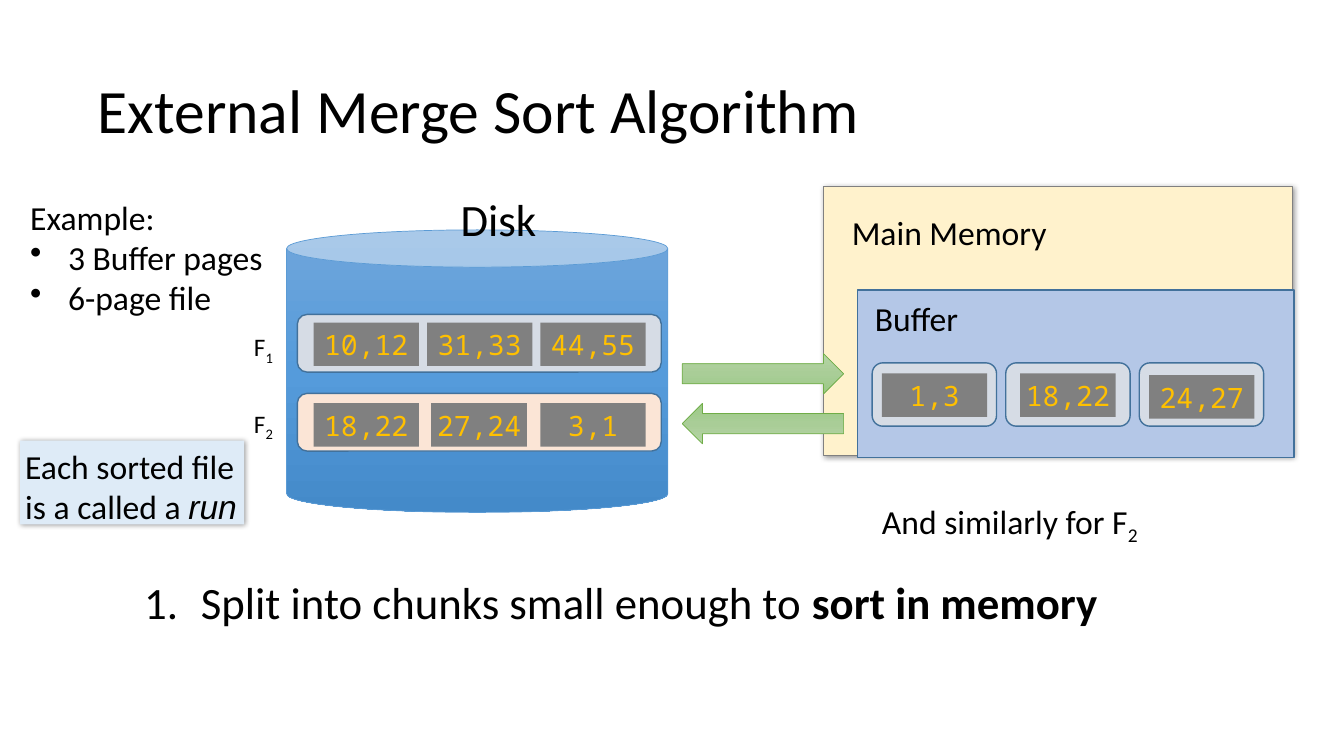
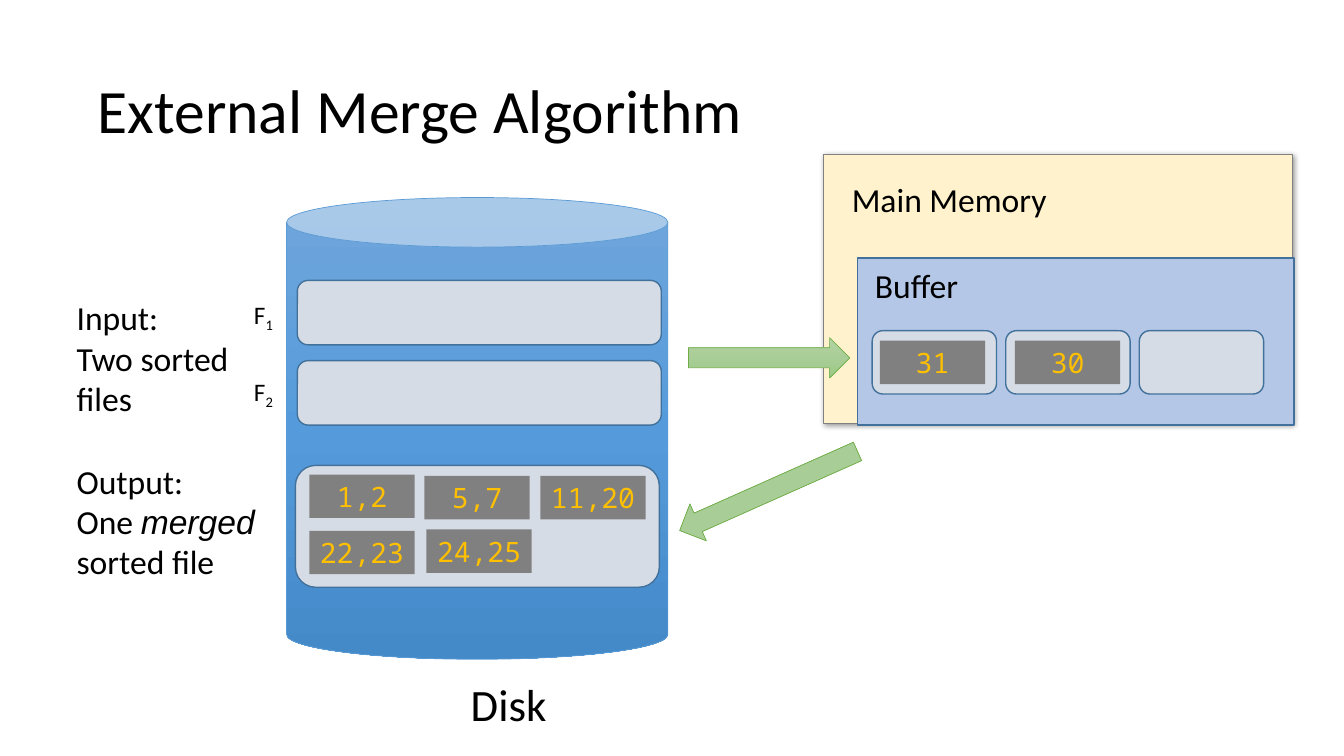
from copy import deepcopy
from pptx import Presentation
from pptx.dml.color import RGBColor
from pptx.enum.shapes import MSO_SHAPE
from pptx.enum.text import MSO_ANCHOR, PP_ALIGN
from pptx.oxml import parse_xml
from pptx.oxml.ns import nsdecls, qn
from pptx.util import Pt

BLACK = RGBColor(0x00, 0x00, 0x00)
GOLD = RGBColor(0xFF, 0xC0, 0x00)
GRAY = RGBColor(0x80, 0x80, 0x80)
CREAM = RGBColor(0xFF, 0xF2, 0xCC)
PERIWINKLE = RGBColor(0xB4, 0xC7, 0xE7)
SILVER = RGBColor(0xD6, 0xDC, 0xE5)
PEACH = RGBColor(0xFB, 0xE5, 0xD6)
PALE_BLUE = RGBColor(0xDE, 0xEB, 0xF7)
NAVY = RGBColor(0x42, 0x71, 0x9B)
DISK_LINE = RGBColor(0x5B, 0x9B, 0xD5)
ARROW_LINE = RGBColor(0x70, 0xAD, 0x47)
DISK_GRAD = [RGBColor(0x70, 0xA6, 0xDB), RGBColor(0x55, 0x9B, 0xDB), RGBColor(0x44, 0x8A, 0xC9)]
ARROW_GRAD = [RGBColor(0xB4, 0xD4, 0xA5), RGBColor(0xA9, 0xCD, 0x97), RGBColor(0x9B, 0xC9, 0x85)]

FONT, MONO, ITALIC_FONT = "Calibri", "Noto Sans Mono", "Arial"
INSET = 3.6
CELL_W, CELL_H = 75.2, 31
SLOT_X, SLOT_STEP = 623, 95.4
DOT = '<a:buChar %s char="•"/>' % nsdecls("a")
NUMBER = '<a:buAutoNum %s type="arabicPeriod"/>' % nsdecls("a")

SLIDES = [
    dict(
        title="External Merge Sort Algorithm",
        disk=(164.2, 201.8, 0.132), disk_label=(302.4, 133.2),
        rows=[(212.4, 224.6, 41.2, SILVER), (212.4, 281, 41.2, PEACH)],
        memory_top=133.2,
        arrows=[(487.4, 252.6, 115.2, 0), (487.4, 288.2, 115.2, 180)],
        file_labels=[233.3, 288],
        cells=[(224, 230.4, "10,12"), (305, 230.4, "31,33"), (386, 230.4, "44,55"),
               (224, 288, "18,22"), (308, 288, "27,24", 68.4), (386, 288, "3,1"),
               (630, 266.8, "1,3"), (728.6, 266.8, "18,22", 68.4), (820.8, 268, "24,27")],
        notes=[((18, 136.8, 173.5, 88.6),
                [[("Example:",)], [("3 Buffer pages",)], [("6-page file",)]],
                dict(bullets=[None, DOT, DOT], indent=27)),
               ((626.4, 354.2, 191.5, 35.3), [[("And similarly for F",), ("2", "sub")]],
                dict(wrap=False)),
               ((99.4, 411, 820.8, 42.5),
                [[("Split into chunks small enough to ",), ("sort in memory", "bold")]],
                dict(size=32, bullets=[NUMBER], indent=40.5, spacing=0.9, before=10))],
        callout=((14.4, 314.8, 160, 59.8),
                 [[("Each sorted file is a called a ",), ("run", "italic")]]),
    ),
    dict(
        title="External Merge Algorithm",
        disk=(141.1, 329.8, 0.13), disk_label=(309.6, 479.5),
        rows=[(212.4, 200.3, 46, SILVER), (212.4, 257.6, 46, SILVER), (211, 332.4, 87.1, SILVER)],
        memory_top=110.2,
        arrows=[(491.8, 241.2, 115.2, 0), (479.5, 336.3, 139, 156)],
        file_labels=[210.2, 265],
        cells=[(221, 339, "1,2"), (303.2, 340, "5,7"), (386, 340, "11,20"),
               (221, 379.2, "22,23"), (304.6, 378.2, "24,25"),
               (628.5, 243.4, "31"), (725, 243.4, "30")],
        notes=[((51.1, 208.8, 137.5, 88.6), [[("Input:",)], [("Two sorted files",)]], {}),
               ((51.1, 325.4, 137.5, 88.6),
                [[("Output:",)], [("One ",), ("merged", "italic"), (" sorted file",)]], {})],
        callout=None,
    ),
]


def write(sp, paras, size=24, font=FONT, color=BLACK, align=PP_ALIGN.LEFT, anchor=MSO_ANCHOR.TOP,
          wrap=True, spacing=None, before=None, bullets=(), indent=0):
    """Fill a shape with styled paragraphs."""
    tf = sp.text_frame
    tf.word_wrap = wrap
    tf.vertical_anchor = anchor
    tf.margin_left = tf.margin_right = tf.margin_top = tf.margin_bottom = Pt(INSET)
    for i, runs in enumerate(paras):
        p = tf.add_paragraph() if i else tf.paragraphs[0]
        p.alignment = align
        p.font.size, p.font.name = Pt(size), font
        p.font.color.rgb = color
        if spacing:
            p.line_spacing = spacing
        if before:
            p.space_before = Pt(before)
        if bullets and bullets[i]:
            pPr = p._p.get_or_add_pPr()
            pPr.set("marL", str(Pt(indent)))
            pPr.set("indent", str(-Pt(indent)))
            pPr.insert_element_before(parse_xml(bullets[i]), "a:tabLst", "a:defRPr", "a:extLst")
        for text, *style in runs:
            r = p.add_run()
            r.text = text
            if "bold" in style:
                r.font.bold = True
            if "italic" in style:
                r.font.italic, r.font.name = True, ITALIC_FONT
            if "sub" in style:
                r.font._element.set("baseline", "-25000")


def label(s, box, paras, **style):
    """Add a text box."""
    write(s.shapes.add_textbox(*map(Pt, box)), paras, **style)


def shape(s, kind, box, fill, line=None, width=1, shadow=False):
    """Add a shape with a solid or three-stop vertical gradient fill."""
    sp = s.shapes.add_shape(kind, *map(Pt, box))
    sp.shadow.inherit = False
    if isinstance(fill, list):
        sp.fill.gradient()
        sp.fill.gradient_angle = 270
        stops = sp._element.spPr.find(qn("a:gradFill")).find(qn("a:gsLst"))
        stops.append(deepcopy(stops[-1]))
        for stop, color, position in zip(sp.fill.gradient_stops, fill, (0, 0.5, 1)):
            stop.color.rgb, stop.position = color, position
    else:
        sp.fill.solid()
        sp.fill.fore_color.rgb = fill
    if line is None:
        sp.line.fill.background()
    else:
        sp.line.color.rgb, sp.line.width = line, Pt(width)
    if shadow:
        sp._element.spPr.find(qn("a:effectLst")).append(parse_xml(
            '<a:outerShdw %s blurRad="%d" dist="%d" dir="2700000"><a:srgbClr val="000000">'
            '<a:alpha val="40000"/></a:srgbClr></a:outerShdw>' % (nsdecls("a"), Pt(4), Pt(1))))
    return sp


def memory(s, top):
    """Draw main memory with its buffer and three page slots."""
    shape(s, MSO_SHAPE.RECTANGLE, (588.2, top, 334.8, 192.2), CREAM, GRAY, 0.5, shadow=True)
    shape(s, MSO_SHAPE.RECTANGLE, (612.6, top + 74, 311.6, 119.5), PERIWINKLE, NAVY)
    label(s, (604.8, top + 14.4, 147.6, 31), [[("Main Memory",)]], wrap=False)
    label(s, (621.4, top + 75.8, 67.7, 31), [[("Buffer",)]], wrap=False)
    for i in range(3):
        shape(s, MSO_SHAPE.ROUNDED_RECTANGLE,
              (SLOT_X + i * SLOT_STEP, top + 126, 88.8, 45.2), SILVER, NAVY)


def build(prs, d):
    """Build one slide of the merge diagram."""
    s = prs.slides.add_slide(prs.slide_layouts[6])
    label(s, (66.2, 28.8, 828, 104.4), [[(d["title"],)]], size=44,
          anchor=MSO_ANCHOR.MIDDLE, spacing=0.9)
    top, height, rim = d["disk"]
    disk = shape(s, MSO_SHAPE.CAN, (204.7, top, 272.4, height), DISK_GRAD, DISK_LINE, 0.5)
    disk.adjustments[0] = rim
    for x, y, h, fill in d["rows"]:
        shape(s, MSO_SHAPE.ROUNDED_RECTANGLE, (x, y, 260, h), fill, NAVY)
    label(s, (*d["disk_label"], 107.5, 39), [[("Disk",)]], size=32, align=PP_ALIGN.CENTER)
    memory(s, d["memory_top"])
    for x, y, w, angle in d["arrows"]:
        arrow = shape(s, MSO_SHAPE.RIGHT_ARROW, (x, y, w, 28.8), ARROW_GRAD, ARROW_LINE, 0.5)
        arrow.rotation = angle
    for n, y in enumerate(d["file_labels"], 1):
        label(s, (177.8, y, 22.3, 29.5), [[("F",), (str(n), "sub")]], size=18, wrap=False)
    for x, y, text, *width in d["cells"]:
        cell = shape(s, MSO_SHAPE.RECTANGLE, (x, y, width[0] if width else CELL_W, CELL_H), GRAY)
        write(cell, [[(text,)]], size=20, font=MONO, color=GOLD, align=PP_ALIGN.CENTER, wrap=False)
    for box, paras, style in d["notes"]:
        label(s, box, paras, **style)
    if d["callout"]:
        box, paras = d["callout"]
        write(shape(s, MSO_SHAPE.RECTANGLE, box, PALE_BLUE, shadow=True), paras)


def main():
    """Build and save the deck."""
    prs = Presentation()
    prs.slide_width, prs.slide_height = Pt(960), Pt(540)
    for d in SLIDES:
        build(prs, d)
    prs.save("out.pptx")


if __name__ == "__main__":
    main()
